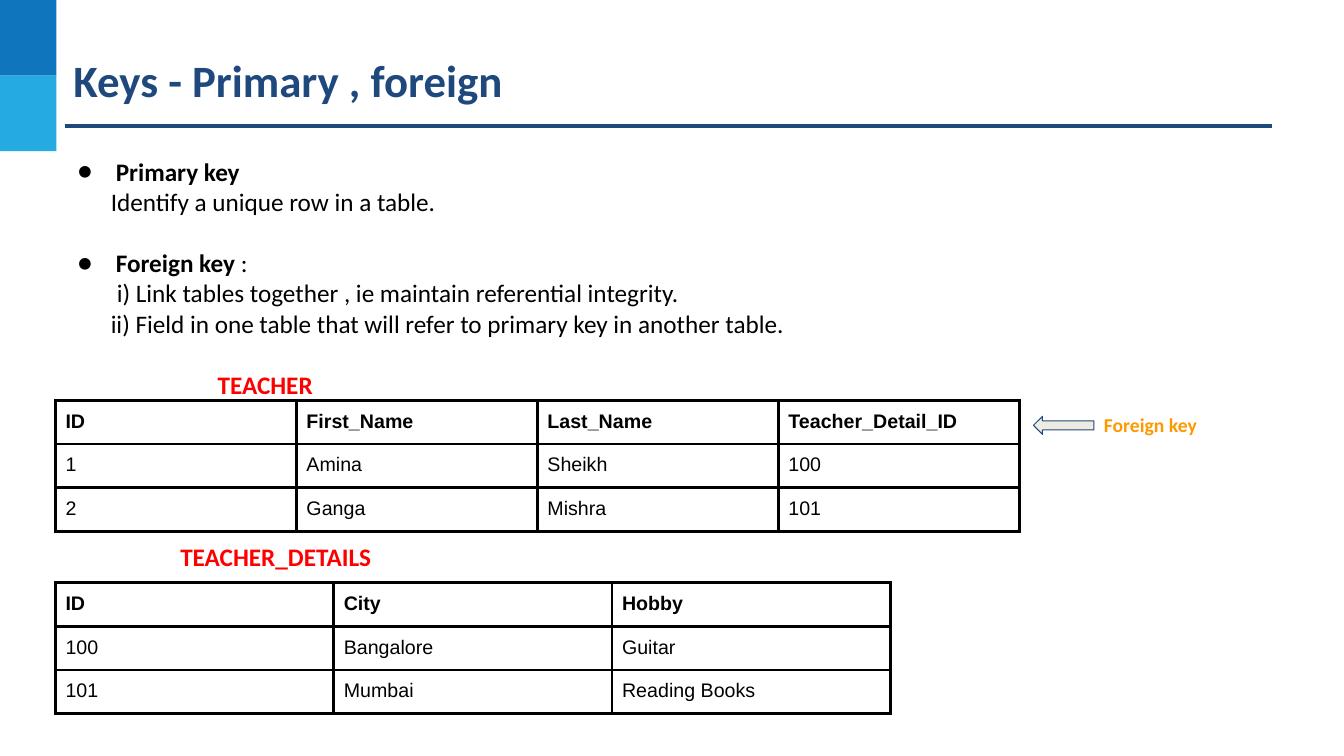
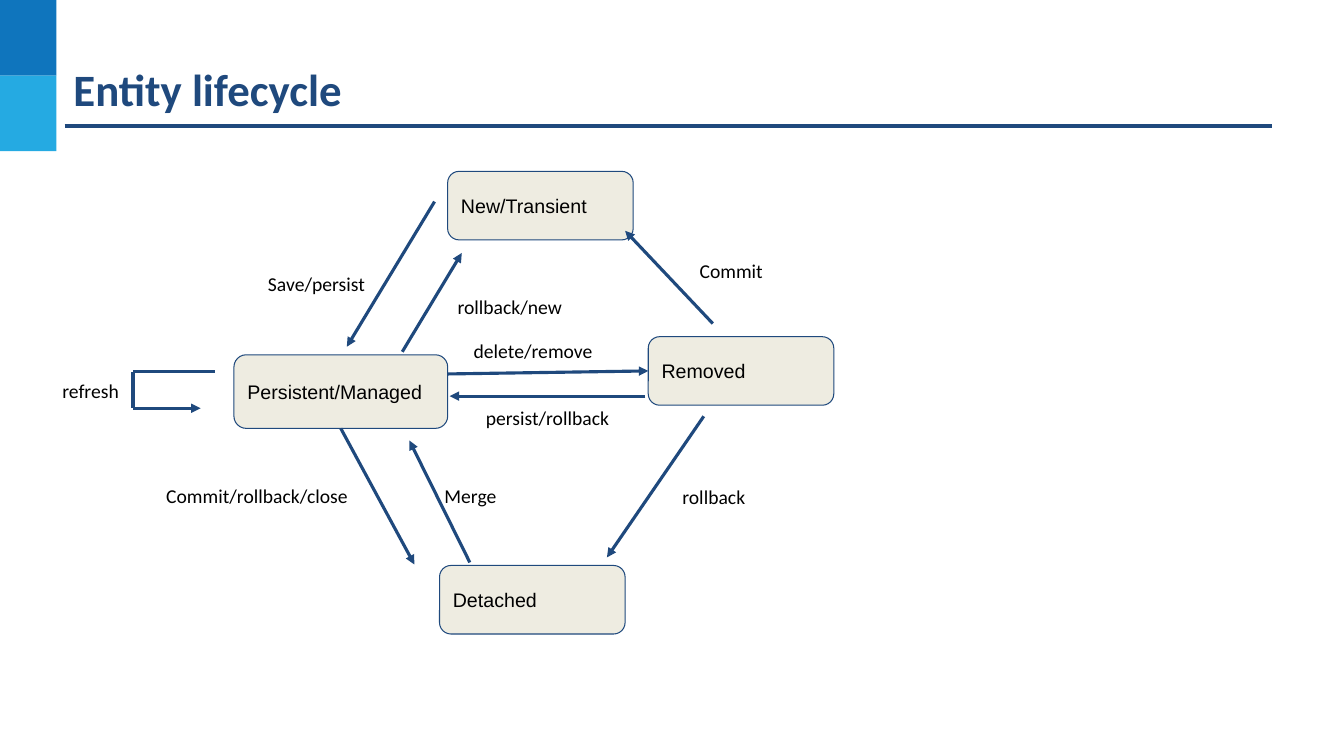
"""Build two slides: database keys with sample tables, and the entity lifecycle."""
from dataclasses import dataclass
from typing import Any, NamedTuple, Optional

from lxml.etree import SubElement
from pptx import Presentation
from pptx.dml.color import RGBColor
from pptx.enum.shapes import MSO_CONNECTOR, MSO_SHAPE
from pptx.enum.text import MSO_ANCHOR, PP_ALIGN
from pptx.oxml import parse_xml
from pptx.oxml.ns import nsdecls, qn
from pptx.util import Emu, Pt

LINE = MSO_CONNECTOR.STRAIGHT
RECT = MSO_SHAPE.RECTANGLE
STATE = MSO_SHAPE.FLOWCHART_ALTERNATE_PROCESS
LEFT = MSO_SHAPE.LEFT_ARROW
MID = MSO_ANCHOR.MIDDLE
TOP = MSO_ANCHOR.TOP
START = PP_ALIGN.LEFT
SCALE = 9144


@dataclass(frozen=True)
class Theme:
    """Hold the colours, fonts and sizes of the deck."""

    navy: RGBColor = RGBColor(0x1F, 0x49, 0x7D)
    blue: RGBColor = RGBColor(0x0F, 0x75, 0xBD)
    sky: RGBColor = RGBColor(0x25, 0xAA, 0xE2)
    sand: RGBColor = RGBColor(0xEE, 0xEC, 0xE1)
    black: RGBColor = RGBColor(0, 0, 0)
    red: RGBColor = RGBColor(0xFF, 0, 0)
    gold: RGBColor = RGBColor(0xFF, 0x99, 0)
    text: str = "Calibri"
    plain: str = "Arial"
    title: int = 32
    body: int = 18
    small: int = 14
    thick: float = 2.25
    thin: float = 0.75


THEME = Theme()


class Box(NamedTuple):
    """Place a shape in px."""

    left: int
    top: int
    width: int
    height: int


class Style(NamedTuple):
    """Describe the look of a run."""

    size: int = THEME.small
    name: str = THEME.text
    bold: bool = False
    color: RGBColor = THEME.black


class Para(NamedTuple):
    """Describe a paragraph by its runs, indent and gap."""

    runs: list[tuple[str, Style]]
    indent: int = 0
    gap: int = 0
    bullet: bool = False


class Grid(NamedTuple):
    """Describe a table with even columns and rows."""

    left: int
    top: int
    width: int
    rows: list[list[str]]


class Label(NamedTuple):
    """Describe a small caption."""

    text: str
    left: int
    top: int


class Link(NamedTuple):
    """Describe a line, its head and the states it joins."""

    start: tuple[int, int]
    end: tuple[int, int]
    head: bool = True
    source: Optional[tuple[str, int]] = None
    target: Optional[tuple[str, int]] = None


HEAD = Style(THEME.title, bold=True, color=THEME.navy)
BODY = Style(THEME.body)
STRONG = Style(THEME.body, bold=True)
NAME = Style(THEME.body, bold=True, color=THEME.red)
NOTE = Style(bold=True, color=THEME.gold)
CELL = Style(name=THEME.plain)
SMALL = Style()

ROW = 43
PAD = 10
BLANK = 22

KEYS = [
    Para([("Primary key", STRONG)], bullet=True),
    Para([("Identify a unique row in a table.", BODY)], 45),
    Para([("Foreign key", STRONG), (" :", BODY)], gap=BLANK, bullet=True),
    Para([("i) Link tables together , ie maintain referential integrity.", BODY)], 51),
    Para([("ii) Field in one table that will refer to primary key in another table.", BODY)], 45),
    Para([("TEACHER", NAME)], 151, BLANK),
]
GRIDS = [
    Grid(55, 578, 276, [
        ["ID", "City", "Hobby"],
        ["100", "Bangalore", "Guitar"],
        ["101", "Mumbai", "Reading Books"],
    ]),
    Grid(55, 397, 239, [
        ["ID", "First_Name", "Last_Name", "Teacher_Detail_ID"],
        ["1", "Amina", "Sheikh", "100"],
        ["2", "Ganga", "Mishra", "101"],
    ]),
]
STATES = {
    "New/Transient": Box(444, 170, 184, 68),
    "Removed": Box(643, 334, 184, 68),
    "Detached": Box(436, 561, 184, 68),
    "Persistent/Managed": Box(232, 352, 212, 73),
}
LINKS = [
    Link((707, 321), (620, 229)),
    Link((698, 413), (602, 553)),
    Link((466, 558), (406, 437)),
    Link((338, 425), (411, 560), source=("Persistent/Managed", 2)),
    Link((399, 349), (458, 251)),
    Link((431, 200), (344, 344)),
    Link((444, 371), (643, 368), target=("Removed", 1)),
    Link((640, 393), (446, 393)),
    Link((132, 369), (213, 369), head=False),
    Link((132, 369), (132, 405), head=False),
    Link((132, 405), (199, 405)),
]
LABELS = [
    Label("Commit", 684, 247),
    Label("Save/persist", 256, 260),
    Label("rollback/new", 444, 283),
    Label("delete/remove", 460, 326),
    Label("rollback", 667, 471),
    Label("Merge", 431, 470),
    Label("refresh", 52, 366),
    Label("Commit/rollback/close", 155, 470),
    Label("persist/rollback", 472, 393),
]


def px(*sizes: int) -> list[Emu]:
    """Turn px into EMU."""
    return [Emu(size * SCALE) for size in sizes]


def assign(item: Any, values: dict[str, Any]) -> None:
    """Set each attribute from a dict of format values."""
    for key, value in values.items():
        setattr(item, key, value)


def margins(across: int, down: int) -> dict[str, Emu]:
    """Give the four inner margins as format values."""
    side, edge = px(across, down)
    return {"margin_left": side, "margin_right": side, "margin_top": edge, "margin_bottom": edge}


def mark(para: Any) -> None:
    """Give a paragraph a round hanging bullet."""
    props = para._p.get_or_add_pPr()
    hang, shift = px(50, -38)
    props.set("marL", str(hang))
    props.set("indent", str(shift))
    color = SubElement(props, qn("a:buClr"))
    SubElement(color, qn("a:srgbClr"), val=str(THEME.black))
    SubElement(props, qn("a:buFont"), typeface=THEME.text)
    SubElement(props, qn("a:buChar"), char="●")


def write(frame: Any, paras: list[Para]) -> None:
    """Fill a text frame with paragraphs."""
    for place, item in enumerate(paras):
        para = frame.add_paragraph() if place else frame.paragraphs[0]
        if item.bullet:
            mark(para)
        elif item.indent:
            para._p.get_or_add_pPr().set("marL", str(px(item.indent)[0]))
        assign(para, {"alignment": START, "space_before": Pt(item.gap)})
        for text, style in item.runs:
            run = para.add_run()
            run.text = text
            assign(run.font, {"name": style.name, "size": Pt(style.size), "bold": style.bold})
            run.font.color.rgb = style.color


def add_text(slide: Any, box: Box, paras: list[Para], down: int = PAD, anchor: Any = TOP) -> None:
    """Add a wrapped text box."""
    frame = slide.shapes.add_textbox(*px(*box)).text_frame
    assign(frame, {"word_wrap": True, "vertical_anchor": anchor, **margins(PAD, down)})
    write(frame, paras)


def add_label(slide: Any, label: Label, style: Style = SMALL) -> None:
    """Add a one-line caption."""
    add_text(slide, Box(label.left, label.top, 240, 44), [Para([(label.text, style)])])


def add_block(slide: Any, kind: Any, box: Box, fill: RGBColor, edge: bool = True) -> Any:
    """Add a filled shape, with a thin navy edge if asked."""
    shape = slide.shapes.add_shape(kind, *px(*box))
    shape.shadow.inherit = False
    shape.fill.solid()
    shape.fill.fore_color.rgb = fill
    if edge:
        shape.line.color.rgb = THEME.navy
        shape.line.width = Pt(THEME.thin)
    else:
        shape.line.fill.background()
    return shape


def add_link(slide: Any, link: Link, nodes: dict[str, Any]) -> None:
    """Add a thick navy line and join it to its states."""
    line = slide.shapes.add_connector(LINE, *px(*link.start, *link.end))
    if link.source:
        line.begin_connect(nodes[link.source[0]], link.source[1])
    if link.target:
        line.end_connect(nodes[link.target[0]], link.target[1])
    line.line.color.rgb = THEME.navy
    line.line.width = Pt(THEME.thick)
    props = line._element.spPr
    if link.head:
        SubElement(props.find(qn("a:ln")), qn("a:tailEnd"), type="triangle")
    SubElement(props, qn("a:effectLst"))


def add_grid(slide: Any, grid: Grid) -> None:
    """Add a black-ruled table with a bold first row."""
    count, wide = len(grid.rows), len(grid.rows[0])
    box = Box(grid.left, grid.top, grid.width * wide, ROW * count)
    table = slide.shapes.add_table(count, wide, *px(*box)).table
    assign(table, {"first_row": False, "horz_banding": False})
    for column in table.columns:
        column.width = px(grid.width)[0]
    for down, row in enumerate(grid.rows):
        table.rows[down].height = px(ROW)[0]
        for across, text in enumerate(row):
            cell = table.cell(down, across)
            assign(cell, margins(PAD, PAD))
            write(cell.text_frame, [Para([(text, CELL._replace(bold=down == 0))])])
            cell.fill.background()
            props = cell._tc.get_or_add_tcPr()
            for place, side in enumerate("LRTB"):
                props.insert(place, parse_xml(
                    f'<a:ln{side} {nsdecls("a")} w="{Pt(THEME.thick)}"><a:solidFill>'
                    f'<a:srgbClr val="{THEME.black}"/></a:solidFill></a:ln{side}>'))


def add_page(deck: Any, title: str, top: int) -> Any:
    """Add a slide with its side bands, title and rule."""
    slide = deck.slides.add_slide(deck.slide_layouts[6])
    for place, color in enumerate((THEME.blue, THEME.sky)):
        add_block(slide, RECT, Box(0, 75 * place, 56, 75), color, edge=False)
    add_text(slide, Box(63, top, 1122, 64), [Para([(title, HEAD)])], 5, MID)
    add_link(slide, Link((64, 125), (1262, 125), head=False), {})
    return slide


def add_keys(deck: Any) -> None:
    """Build the slide on keys."""
    slide = add_page(deck, "Keys - Primary , foreign", 47)
    add_text(slide, Box(55, 145, 1122, 263), KEYS)
    for grid in GRIDS:
        add_grid(slide, grid)
    add_text(slide, Box(113, 527, 328, 50), [Para([("TEACHER_DETAILS", NAME)], 56)])
    add_block(slide, LEFT, Box(1025, 413, 60, 18), THEME.sand)
    add_label(slide, Label("Foreign key", 1085, 400), NOTE)


def add_cycle(deck: Any) -> None:
    """Build the slide on the entity lifecycle."""
    slide = add_page(deck, "Entity lifecycle", 56)
    nodes = {}
    for name, box in STATES.items():
        nodes[name] = add_block(slide, STATE, box, THEME.sand)
        frame = nodes[name].text_frame
        assign(frame, {"word_wrap": True, "vertical_anchor": MID, **margins(PAD, PAD)})
        write(frame, [Para([(name, CELL)])])
    for link in LINKS:
        add_link(slide, link, nodes)
    for label in LABELS:
        add_label(slide, label)


def main() -> None:
    """Build and save the deck."""
    deck = Presentation()
    deck.slide_width, deck.slide_height = px(1333, 750)
    add_keys(deck)
    add_cycle(deck)
    deck.save("out.pptx")


if __name__ == "__main__":
    main()
